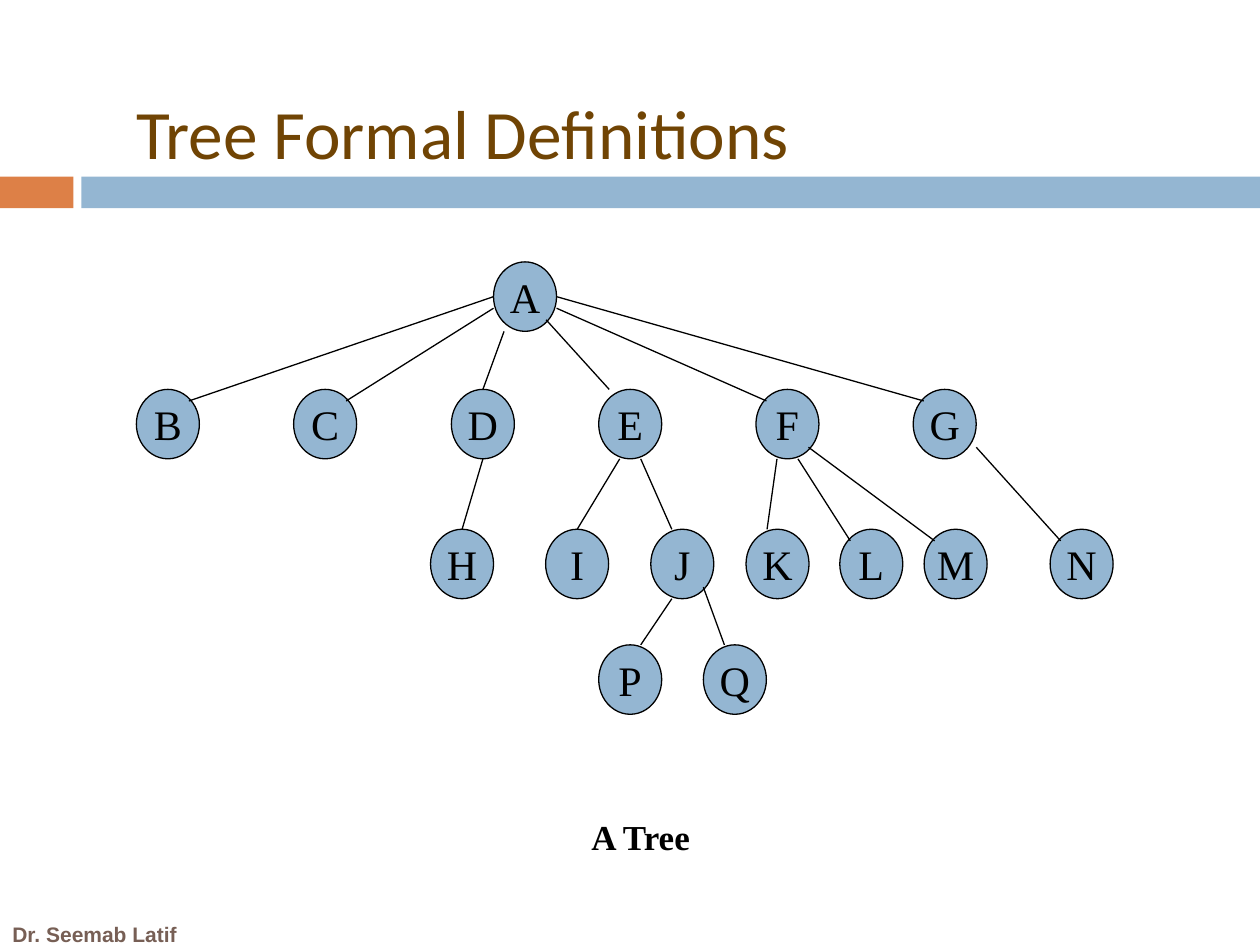
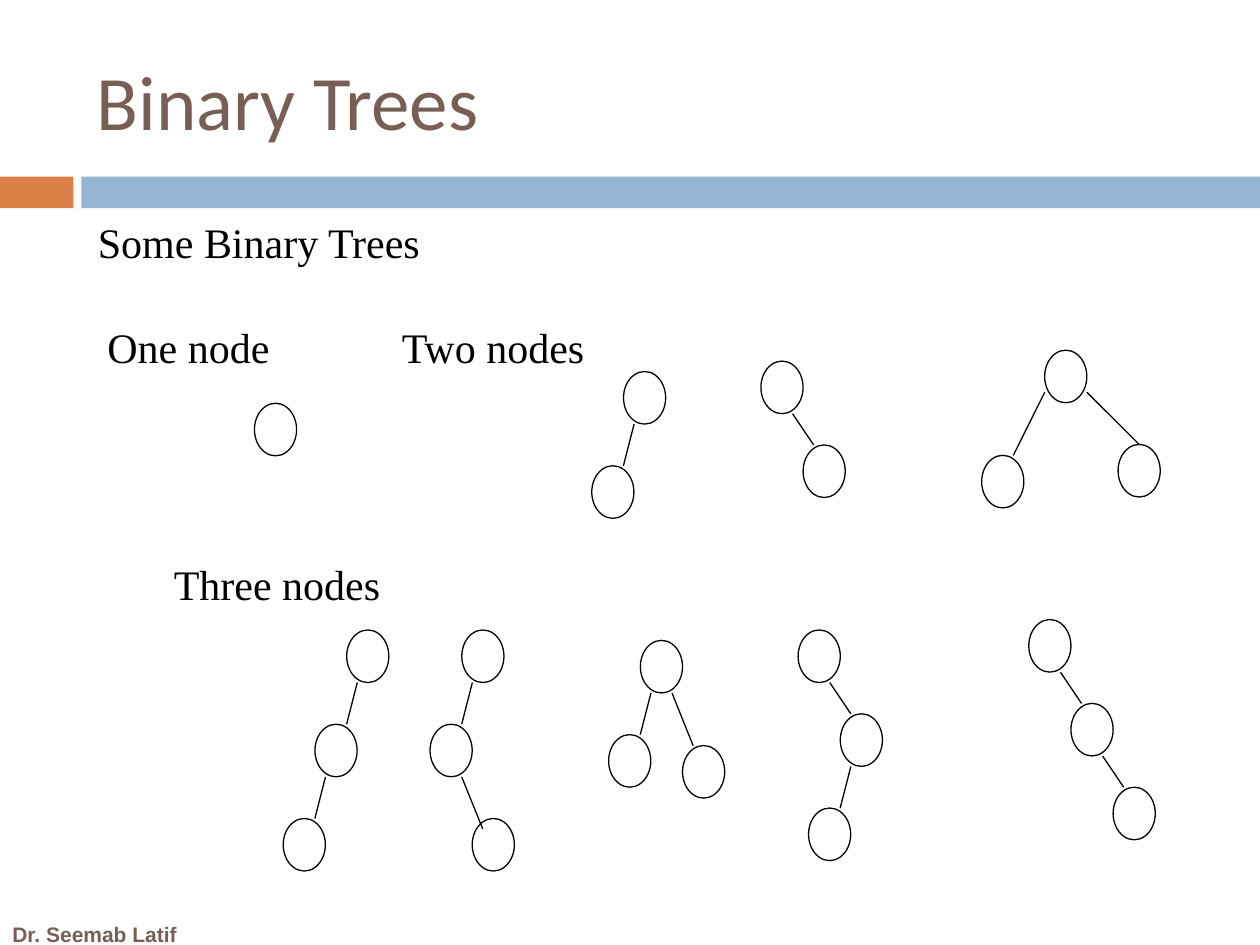
from collections import namedtuple
from dataclasses import dataclass

from lxml import etree
from pptx import Presentation
from pptx.dml.color import RGBColor
from pptx.enum.shapes import MSO_CONNECTOR, MSO_SHAPE
from pptx.enum.text import MSO_ANCHOR, MSO_AUTO_SIZE, PP_ALIGN
from pptx.oxml.ns import qn
from pptx.util import Cm, Pt

STRAIGHT = MSO_CONNECTOR.STRAIGHT
RECTANGLE = MSO_SHAPE.RECTANGLE
OVAL = MSO_SHAPE.OVAL
TOP = MSO_ANCHOR.TOP
MIDDLE = MSO_ANCHOR.MIDDLE
LEFT = PP_ALIGN.LEFT
CENTER = PP_ALIGN.CENTER
FIXED_SIZE = MSO_AUTO_SIZE.NONE
TITLE_ONLY = 5


@dataclass(frozen=True)
class Theme:
    """Colours, fonts and type sizes of the deck."""

    orange: str = "DD8047"
    blue: str = "94B6D2"
    taupe: str = "775F55"
    brown: str = "704404"
    black: str = "000000"
    white: str = "FFFFFF"
    title_font: str = "Calibri"
    footer_font: str = "Arial"
    body_font: str = "Times New Roman"
    title_size: float = 44
    small_title_size: float = 39.6
    body_size: float = 24
    caption_size: float = 20
    footer_size: float = 12
    line_width: float = 0.75


THEME = Theme()

Branch = namedtuple("Branch", "right down start end")

LETTER_SIZE = (1.27, 1.4)
LETTER_ROWS = {
    5.28: {"A": 9.95},
    7.85: {"B": 2.75, "C": 5.92, "D": 9.1, "E": 12.07, "F": 15.24, "G": 18.41},
    10.67: {"H": 8.68, "I": 11, "J": 13.12, "K": 15.04, "L": 16.93, "M": 18.63, "N": 21.17},
    13: {"P": 12.07, "Q": 14.18},
}
LETTER_EDGES_IN_SIXTHS = [
    ("A", (0, 3), "B", (5, 1)),
    ("A", (0, 4), "C", (5, 1)),
    ("A", (1, 6), "D", (3, 0)),
    ("A", (5, 5), "E", (1, 0)),
    ("A", (6, 4), "F", (1, 1)),
    ("A", (6, 3), "G", (1, 1)),
    ("D", (3, 6), "H", (3, 0)),
    ("E", (2, 6), "I", (3, 0)),
    ("E", (4, 6), "J", (2, 0)),
    ("F", (2, 6), "K", (2, 0)),
    ("F", (4, 6), "L", (1, 1)),
    ("F", (5, 5), "M", (1, 1)),
    ("G", (6, 5), "N", (1, 1)),
    ("J", (2, 6), "P", (4, 0)),
    ("J", (5, 5), "Q", (2, 0)),
]

SMALL_SIZE = (0.85, 1.06)
LEFT_CHILD = Branch(-0.64, 1.9, (0.25, 1), (0.75, 0))
RIGHT_CHILD = Branch(0.85, 1.69, (0.75, 1), (0.25, 0))
LOW_RIGHT_CHILD = Branch(0.85, 1.9, (0.75, 1), (0.25, 0.2))
FORK_RIGHT_CHILD = Branch(0.85, 2.12, (0.75, 1), (0.25, 0))
WIDE_LEFT_CHILD = Branch(-1.27, 2.12, (0, 0.8), (0.75, 0))
WIDE_RIGHT_CHILD = Branch(1.48, 1.9, (1, 0.8), (0.5, 0))

BINARY_TREES = [
    ((5.13, 8.13), []),
    ((12.57, 7.49), [(0, LEFT_CHILD)]),
    ((15.34, 7.28), [(0, RIGHT_CHILD)]),
    ((21.06, 7.06), [(0, WIDE_LEFT_CHILD), (0, WIDE_RIGHT_CHILD)]),
    ((6.99, 12.7), [(0, LEFT_CHILD), (1, LEFT_CHILD)]),
    ((9.31, 12.7), [(0, LEFT_CHILD), (1, LOW_RIGHT_CHILD)]),
    ((12.91, 12.91), [(0, LEFT_CHILD), (0, FORK_RIGHT_CHILD)]),
    ((16.09, 12.7), [(0, RIGHT_CHILD), (1, LEFT_CHILD)]),
    ((20.74, 12.49), [(0, RIGHT_CHILD), (1, RIGHT_CHILD)]),
]
TREE_LABELS = [
    ("Some Binary Trees", (1.7, 4.24, 7.04, 1.27)),
    ("One node", (1.91, 6.35, 3.78, 1.27)),
    ("Two nodes", (7.82, 6.35, 4.24, 1.27)),
    ("Three nodes", (3.25, 11.13, 4.67, 1.27)),
]


def lengths(values):
    """Turn numbers in centimetres into slide lengths."""
    return [Cm(value) for value in values]


def write(shape, text, font, size, color, bold=False, align=CENTER, anchor=MIDDLE, wrap=True):
    """Put one formatted run of text into a shape."""
    frame = shape.text_frame
    frame.auto_size = FIXED_SIZE
    frame.word_wrap = wrap
    frame.vertical_anchor = anchor
    para = frame.paragraphs[0]
    para.alignment = align
    span = para.add_run()
    span.text = text
    span.font.name = font
    span.font.size = Pt(size)
    span.font.bold = bold
    span.font.color.rgb = RGBColor.from_string(color)


def add_filled(page, preset, bounds, color):
    """Add a preset shape with a plain fill and no outline."""
    shape = page.shapes.add_shape(preset, *lengths(bounds))
    shape.shadow.inherit = False
    shape.fill.solid()
    shape.fill.fore_color.rgb = RGBColor.from_string(color)
    shape.line.fill.background()
    return shape


def add_text(page, text, bounds, **style):
    """Add a text box with one line of text."""
    box = page.shapes.add_textbox(*lengths(bounds))
    write(box, text, **style)


def draw_outline(line):
    """Give an outline or connector the thin black line."""
    line.color.rgb = RGBColor.from_string(THEME.black)
    line.width = Pt(THEME.line_width)


def add_node(page, position, size, color, letter=None):
    """Add a tree node, with its letter if it has one."""
    node = add_filled(page, OVAL, (*position, *size), color)
    draw_outline(node.line)
    if letter:
        write(node, letter, THEME.body_font, THEME.body_size, THEME.black, wrap=False)


def point_on(position, size, fraction):
    """Find the point at a fraction of a node's width and height."""
    return [start + length * part for start, length, part in zip(position, size, fraction)]


def add_edge(page, start, end):
    """Add a straight line between two points."""
    edge = page.shapes.add_connector(STRAIGHT, *lengths((*start, *end)))
    draw_outline(edge.line)
    etree.SubElement(edge._element.spPr, qn("a:effectLst"))


def add_page(deck, title, bounds, size, color):
    """Add a slide with its title, bands and footer."""
    page = deck.slides.add_slide(deck.slide_layouts[TITLE_ONLY])
    add_filled(page, RECTANGLE, (0, 3.56, 1.48, 0.64), THEME.orange)
    add_filled(page, RECTANGLE, (1.64, 3.56, 23.76, 0.64), THEME.blue)
    add_text(page, "Dr. Seemab Latif", (0, 18.42, 4.65, 0.81), font=THEME.footer_font,
             size=THEME.footer_size, color=THEME.taupe, bold=True, align=LEFT)
    heading = page.shapes.title
    heading.left, heading.top, heading.width, heading.height = lengths(bounds)
    write(heading, title, THEME.title_font, size, color, align=LEFT)
    return page


def add_letter_tree(page):
    """Draw the general tree of lettered nodes."""
    places = {letter: (left, top) for top, row in LETTER_ROWS.items() for letter, left in row.items()}
    for letter, place in places.items():
        add_node(page, place, LETTER_SIZE, THEME.blue, letter)
    for parent, start, child, end in LETTER_EDGES_IN_SIXTHS:
        start, end = [[step / 6 for step in anchor] for anchor in (start, end)]
        add_edge(page, point_on(places[parent], LETTER_SIZE, start),
                 point_on(places[child], LETTER_SIZE, end))


def add_binary_tree(page, root, branches):
    """Grow a binary tree from its root, branch by branch."""
    places = [root]
    add_node(page, root, SMALL_SIZE, THEME.white)
    for parent, branch in branches:
        left, top = places[parent]
        child = (left + branch.right, top + branch.down)
        places.append(child)
        add_node(page, child, SMALL_SIZE, THEME.white)
        add_edge(page, point_on(places[parent], SMALL_SIZE, branch.start),
                 point_on(child, SMALL_SIZE, branch.end))


def add_definitions_page(deck):
    """Build the slide with the general tree."""
    page = add_page(deck, "Tree Formal Definitions", (2.49, 2.03, 20.8, 1.27),
                    THEME.small_title_size, THEME.brown)
    add_letter_tree(page)
    add_text(page, "A Tree", (9.95, 16.31, 5.93, 1.09), font=THEME.body_font,
             size=THEME.caption_size, color=THEME.black, bold=True, anchor=TOP)


def add_binary_page(deck):
    """Build the slide with the small binary trees."""
    page = add_page(deck, "Binary Trees", (1.7, 0.64, 22.65, 2.75),
                    THEME.title_size, THEME.taupe)
    for text, bounds in TREE_LABELS:
        add_text(page, text, bounds, font=THEME.body_font, size=THEME.body_size,
                 color=THEME.black, wrap=False)
    for root, branches in BINARY_TREES:
        add_binary_tree(page, root, branches)


def main():
    """Build and save the deck."""
    deck = Presentation()
    deck.slide_width, deck.slide_height = lengths((25.4, 19.05))
    add_definitions_page(deck)
    add_binary_page(deck)
    deck.save("out.pptx")


if __name__ == "__main__":
    main()
